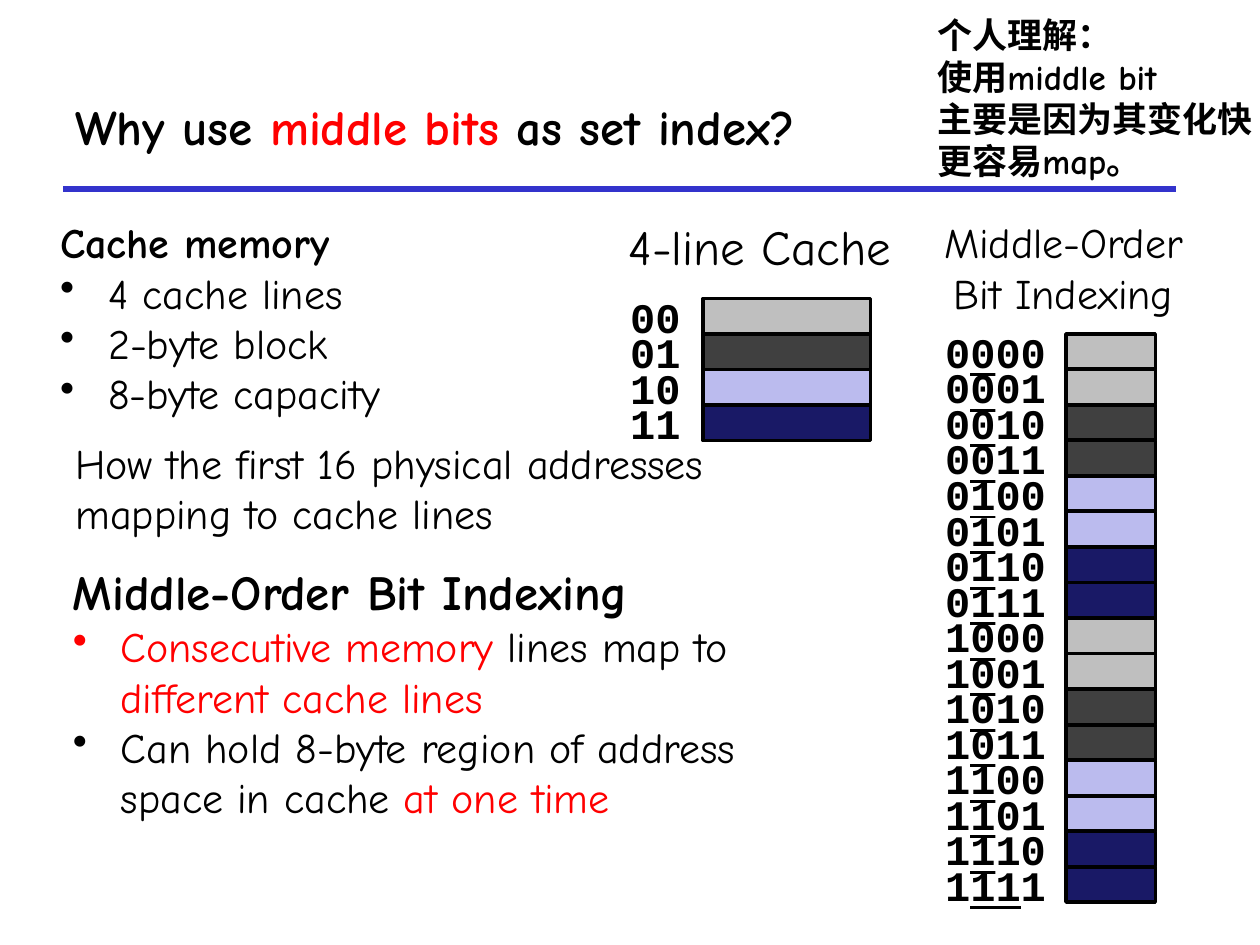
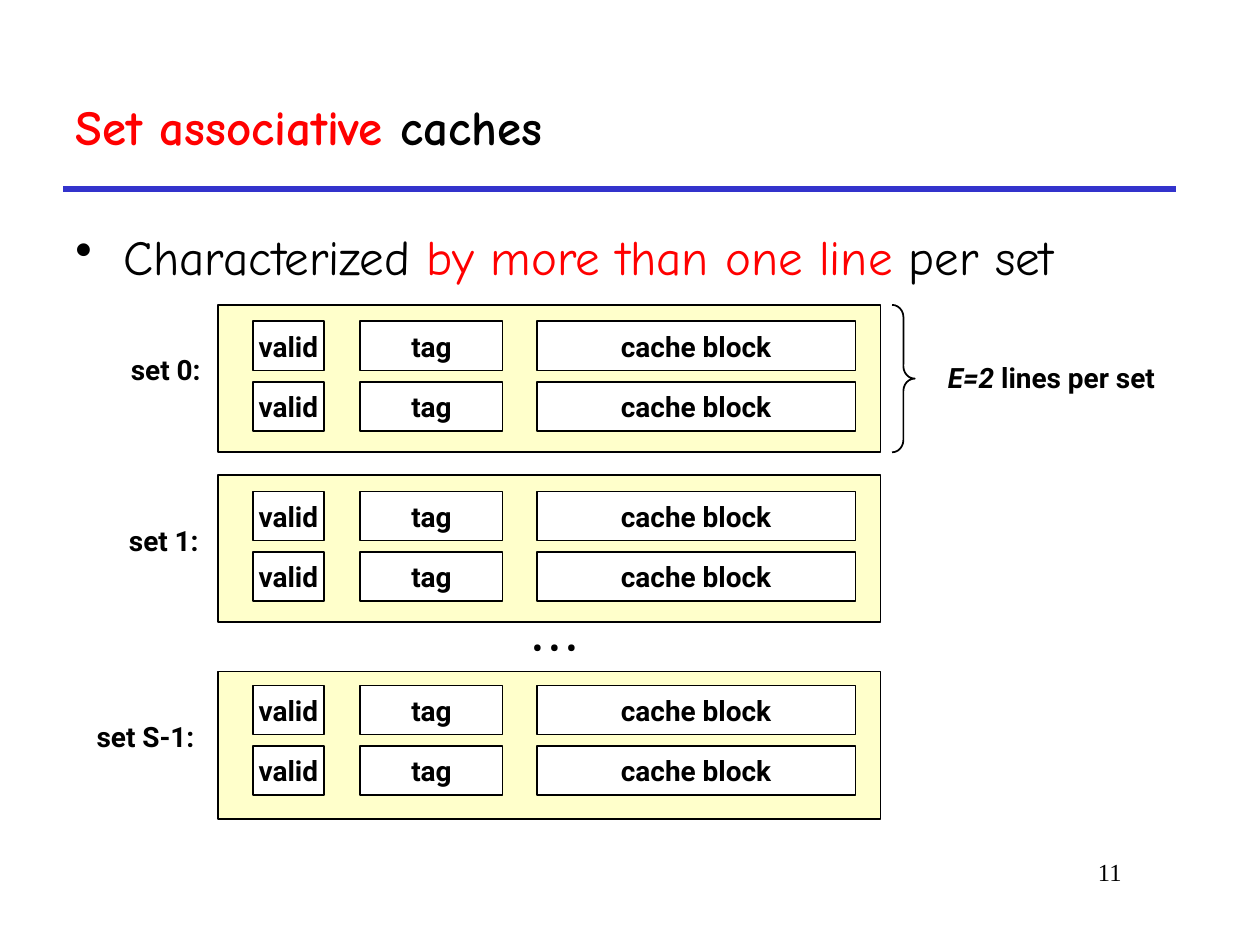
from dataclasses import dataclass, field
from itertools import product

from lxml import etree
from pptx import Presentation
from pptx.dml.color import RGBColor
from pptx.enum.shapes import MSO_CONNECTOR, MSO_SHAPE
from pptx.enum.text import MSO_ANCHOR, MSO_AUTO_SIZE, PP_ALIGN
from pptx.oxml.ns import qn
from pptx.util import Inches, Pt

RECT, BRACE = MSO_SHAPE.RECTANGLE, MSO_SHAPE.RIGHT_BRACE
STRAIGHT = MSO_CONNECTOR.STRAIGHT
LEFT, CENTER, RIGHT = PP_ALIGN.LEFT, PP_ALIGN.CENTER, PP_ALIGN.RIGHT
TOP, MIDDLE = MSO_ANCHOR.TOP, MSO_ANCHOR.MIDDLE
GROW, FIXED = MSO_AUTO_SIZE.SHAPE_TO_FIT_TEXT, MSO_AUTO_SIZE.NONE


@dataclass(frozen=True)
class Theme:
    black: str = "000000"
    white: str = "FFFFFF"
    red: str = "FF0000"
    rule: str = "3333CC"
    set_fill: str = "FFFF99"
    cache_lines: tuple = (("808080", 50), ("404040", 100), ("7878DE", 50), ("191966", 100))
    hand: str = "Comic Neue"
    mono: str = "Courier New"
    sans: str = "Roboto"
    serif: str = "Times New Roman"
    title: int = 28
    body: int = 24
    note: int = 20
    label: int = 16
    footer: int = 14


T = Theme()


@dataclass(frozen=True)
class Style:
    name: str = T.hand
    size: int = T.body
    bold: bool = False
    align: int = LEFT
    anchor: int = TOP
    wrap: bool = True
    fit: int = GROW


HEADING = Style(size=T.title, bold=True, anchor=MIDDLE, fit=FIXED)
BODY = Style()
BODY_LARGE = Style(size=T.title, fit=FIXED)
CAPTION = Style(align=CENTER, wrap=False)
CAPTION_LARGE = Style(size=T.title, align=CENTER, wrap=False)
NOTE = Style(size=T.note, bold=True, wrap=False)
BITS = Style(T.mono, T.body, True, RIGHT, MIDDLE, False, FIXED)
FIELD = Style(T.sans, T.label, True, CENTER, MIDDLE, False, FIXED)
SET_LABEL = Style(T.sans, T.label, True, CENTER, MIDDLE, False)
FOOTER = Style(T.serif, T.footer, align=RIGHT, fit=FIXED)


@dataclass(frozen=True)
class Run:
    text: str
    color: str = T.black
    extra: dict = field(default_factory=dict)


@dataclass(frozen=True)
class Para:
    runs: tuple
    bullet: bool = False
    extra: dict = field(default_factory=dict)


@dataclass(frozen=True)
class Box:
    left: float
    top: float
    width: float
    height: float

    def lengths(self) -> tuple:
        return tuple(Inches(v) for v in (self.left, self.top, self.width, self.height))


@dataclass(frozen=True)
class CacheSet:
    name: str
    top: float
    label_left: float
    label_width: float
    line_offset: float


def line(text: str, **extra) -> Para:
    return Para((Run(text),), extra=extra)


def bullet(*runs: Run) -> Para:
    return Para(runs, bullet=True)


def set_all(target, values: dict) -> None:
    for key, value in values.items():
        setattr(target, key, value)


def write(tf, paras: list, style: Style) -> None:
    set_all(tf, {"word_wrap": style.wrap, "auto_size": style.fit,
                 "vertical_anchor": style.anchor})
    for i, para in enumerate(paras):
        p = tf.add_paragraph() if i else tf.paragraphs[0]
        p.alignment = style.align
        if para.bullet:
            ppr = p._p.get_or_add_pPr()
            ppr.set("marL", str(Inches(0.38)))
            ppr.set("indent", str(Inches(-0.38)))
            etree.SubElement(ppr, qn("a:buChar")).set("char", "•")
        for run in para.runs:
            r = p.add_run()
            r.text = run.text
            values = {"name": style.name, "size": Pt(style.size), "bold": style.bold}
            set_all(r.font, values | para.extra | run.extra)
            r.font.color.rgb = RGBColor.from_string(run.color)


def add_text(s, box: Box, paras: list, style: Style) -> None:
    write(s.shapes.add_textbox(*box.lengths()).text_frame, paras, style)


def add_box(s, box: Box, fill: str = T.white, alpha: int = 100, border: float = 0):
    sp = s.shapes.add_shape(RECT, *box.lengths())
    sp.shadow.inherit = False
    sp.fill.solid()
    sp.fill.fore_color.rgb = RGBColor.from_string(fill)
    if alpha < 100:
        color = sp.fill._xPr.find(qn("a:solidFill"))[0]
        etree.SubElement(color, qn("a:alpha")).set("val", str(alpha * 1000))
    outline(sp, border)
    return sp


def outline(sp, width: float, color: str = T.black) -> None:
    if width:
        sp.line.color.rgb = RGBColor.from_string(color)
        sp.line.width = Pt(width)
    else:
        sp.line.fill.background()


def add_slide(prs, *title: Run):
    s = prs.slides.add_slide(prs.slide_layouts[6])
    rule = s.shapes.add_connector(STRAIGHT, Inches(0.5), Inches(1.5), Inches(9.33), Inches(1.5))
    outline(rule, 3, T.rule)
    etree.SubElement(rule._element.spPr, qn("a:effectLst"))
    add_text(s, Box(0.5, 0.5, 8.83, 1), [Para(title)], HEADING)
    return s


def add_memory(s, cells: Box, label_left: float, rows: list) -> None:
    pitch = 4.23 / 15
    tops = [cells.top + i * pitch for i in range(len(rows))]
    for top, (_, index) in zip(tops, rows):
        fill, alpha = T.cache_lines[index]
        add_box(s, Box(cells.left, top, cells.width, cells.height), fill, alpha, 2)
    for top, (runs, _) in zip(tops, rows):
        sp = add_box(s, Box(label_left, top, 0.5, cells.height))
        write(sp.text_frame, [Para(runs)], BITS)


def address_row(address: int) -> tuple:
    bits = f"{address:04b}"
    runs = (Run(bits[0]), Run(bits[1:3], extra={"underline": True}), Run(bits[3]))
    return runs, int(bits[1:3], 2)


def build_indexing(prs) -> None:
    s = add_slide(prs, Run("Why use "), Run("middle bits", T.red), Run(" as set index?"))
    add_text(s, Box(4.81, 1.67, 2.44, 0.57), [line("4-line Cache")], CAPTION_LARGE)
    add_memory(s, Box(5.58, 2.37, 1.33, 0.28), 5,
               [((Run(f"{i:02b}"),), i) for i in range(4)])
    add_text(s, Box(0.48, 4.41, 5.77, 2.59), [
        line("Middle-Order Bit Indexing", size=Pt(T.title), bold=True),
        bullet(Run("Consecutive memory", T.red), Run(" lines map to "),
               Run("different cache lines", T.red)),
        bullet(Run("Can hold 8-byte region of address space in cache "),
               Run("at one time", T.red)),
    ], BODY)
    facts = ("4 cache lines", "2-byte block", "8-byte capacity")
    add_text(s, Box(0.38, 1.67, 4.23, 1.72),
             [line("Cache memory", bold=True)] + [bullet(Run(f)) for f in facts], BODY)
    add_text(s, Box(0.5, 3.42, 5.78, 0.91),
             [line("How the first 16 physical addresses mapping to cache lines")], BODY)
    add_text(s, Box(7.25, 1.67, 2.38, 0.91),
             [line("Middle-Order"), line("Bit Indexing")], CAPTION)
    add_memory(s, Box(8.46, 2.65, 0.71, 0.28), 7.9, [address_row(a) for a in range(16)])
    remark = ("个人理解：", "使用middle bit", "主要是因为其变化快", "更容易map。")
    add_text(s, Box(7.34, 0.06, 2.71, 1.45), [line(t) for t in remark], NOTE)


def add_cache_set(s, cache_set: CacheSet) -> None:
    add_box(s, Box(1.73, cache_set.top, 5.26, 1.17), T.set_fill, 50, 1)
    add_text(s, Box(cache_set.label_left, cache_set.top + 0.33, cache_set.label_width, 0.37),
             [line(cache_set.name)], SET_LABEL)
    fields = (("valid", 2.01, 0.56), ("tag", 2.86, 1.13), ("cache block", 4.26, 2.53))
    for row, (text, left, width) in product(range(2), fields):
        top = cache_set.top + cache_set.line_offset + row * 0.48
        sp = add_box(s, Box(left, top, width, 0.39), border=1)
        write(sp.text_frame, [line(text)], FIELD)


def build_associative(prs) -> None:
    s = add_slide(prs, Run("Set associative", T.red), Run(" caches"))
    add_text(s, Box(7.58, 6.75, 1.42, 0.5), [line("11")], FOOTER)
    add_text(s, Box(0.5, 1.75, 9.08, 0.67), [
        bullet(Run("Characterized "), Run("by more than one line", T.red), Run(" per set")),
    ], BODY_LARGE)
    for cache_set in (CacheSet("set 0:", 2.42, 0.92, 0.79, 0.13),
                      CacheSet("set 1:", 3.77, 0.91, 0.78, 0.13),
                      CacheSet("set S-1:", 5.33, 0.65, 1.01, 0.11)):
        add_cache_set(s, cache_set)
    brace = s.shapes.add_shape(BRACE, *Box(7.08, 2.42, 0.18, 1.17).lengths())
    brace.shadow.inherit = False
    brace.fill.background()
    brace.adjustments[0] = 0.54
    outline(brace, 1)
    add_text(s, Box(7.33, 2.81, 2.03, 0.37),
             [Para((Run("E=2", extra={"italic": True}), Run(" lines per set")))], SET_LABEL)
    add_text(s, Box(3.98, 4.94, 0.84, 0.39), [line("• • •")], FIELD)


def main() -> None:
    prs = Presentation()
    prs.slide_width, prs.slide_height = Inches(10), Inches(7.5)
    build_indexing(prs)
    build_associative(prs)
    prs.save("out.pptx")


if __name__ == "__main__":
    main()
